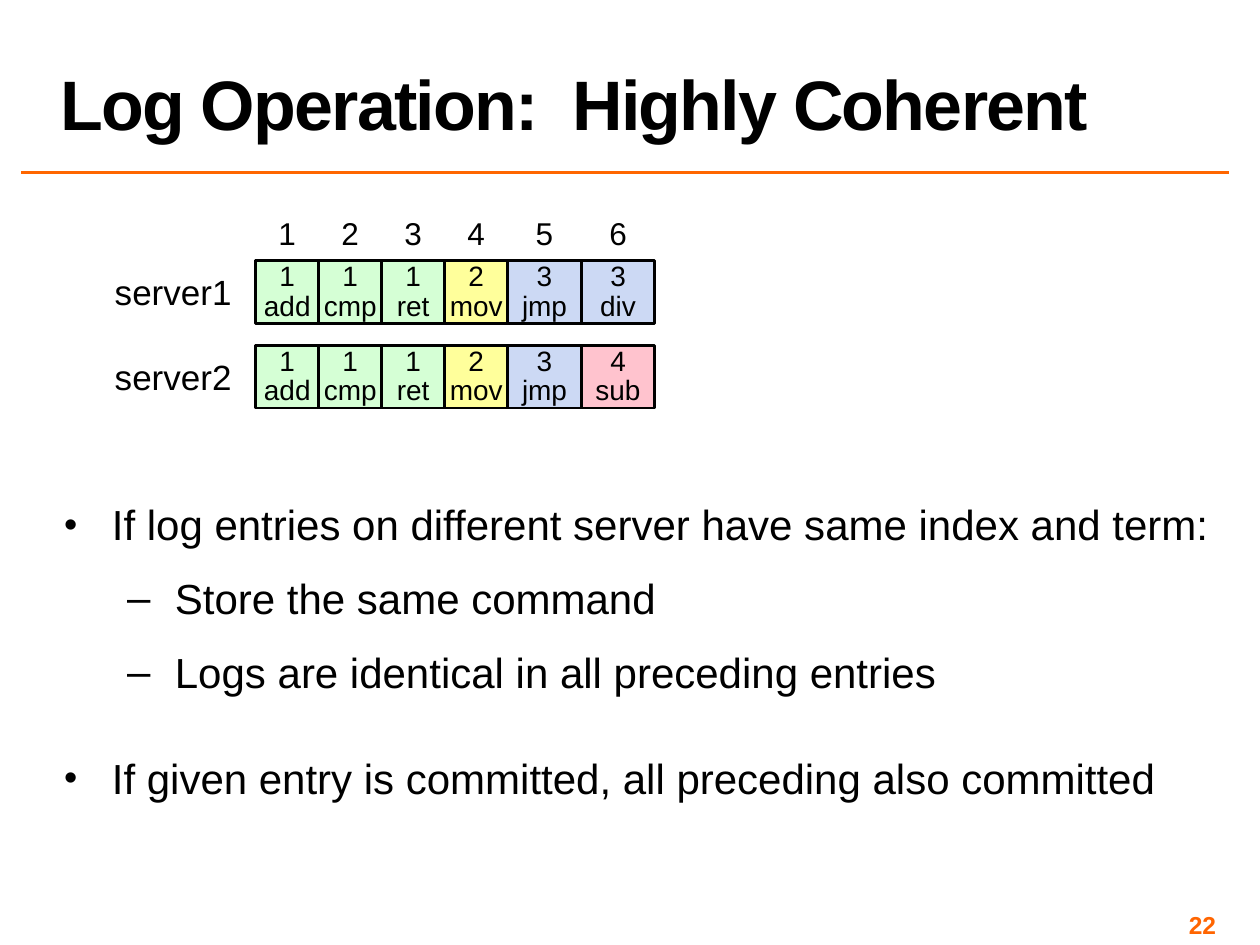
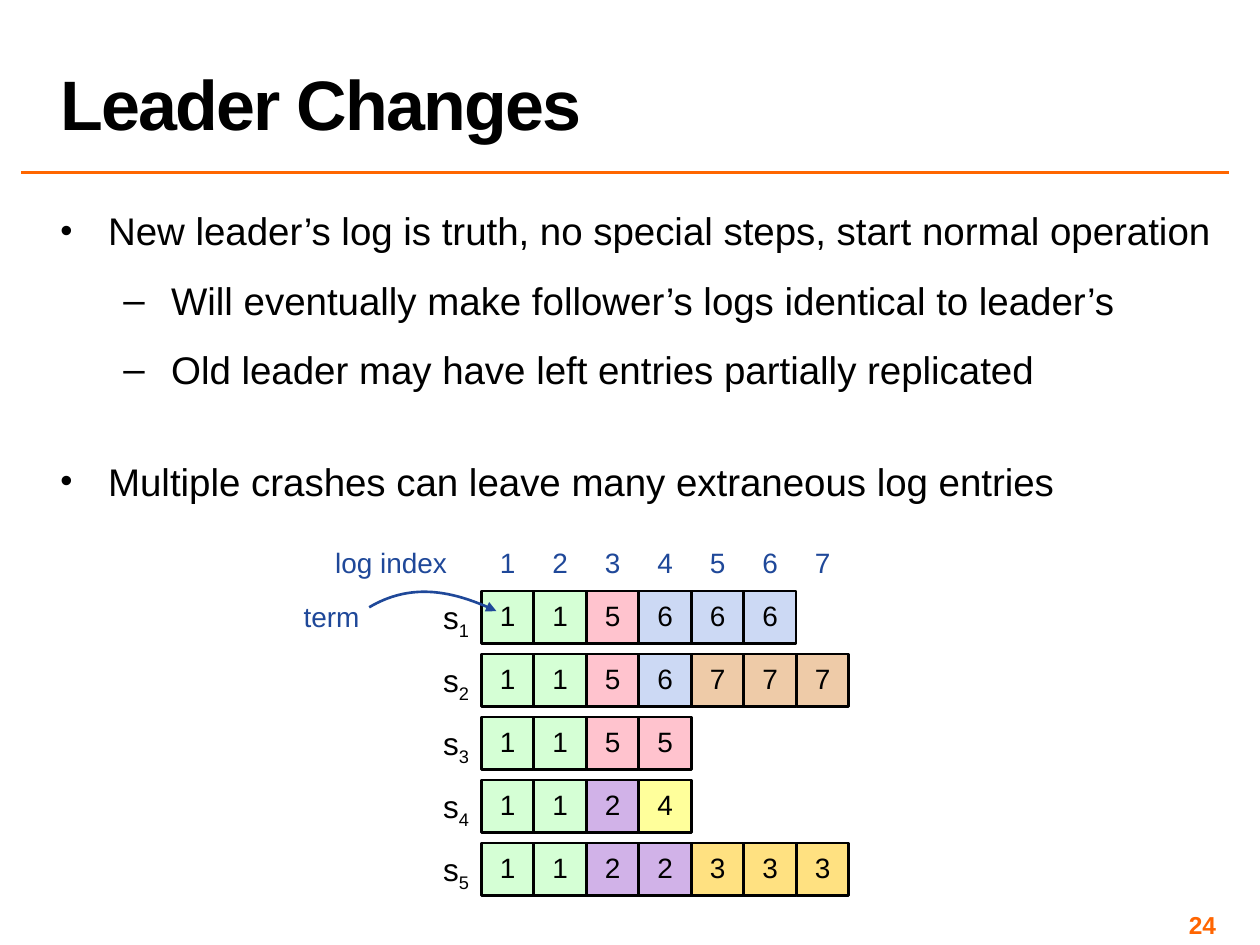
from dataclasses import dataclass

from lxml import etree
from pptx import Presentation
from pptx.dml.color import RGBColor
from pptx.enum.shapes import MSO_CONNECTOR, MSO_SHAPE
from pptx.enum.text import MSO_ANCHOR, PP_ALIGN
from pptx.oxml.ns import qn
from pptx.util import Inches, Pt

LEFT, MID, RIGHT = PP_ALIGN.LEFT, PP_ALIGN.CENTER, PP_ALIGN.RIGHT
TOP, CENTER, BOTTOM = MSO_ANCHOR.TOP, MSO_ANCHOR.MIDDLE, MSO_ANCHOR.BOTTOM
RECT, STRAIGHT = MSO_SHAPE.RECTANGLE, MSO_CONNECTOR.STRAIGHT


@dataclass(frozen=True)
class Theme:
    font: str = "Arial"
    ink: str = "000000"
    rule: str = "FF6600"
    page: str = "FF6501"
    note: str = "1F4899"
    title: int = 40
    name: int = 20
    label: int = 18
    cell: int = 16
    foot: int = 14
    edge: float = 1.5
    lead: int = 17


THEME = Theme()
GREEN, PURPLE, GOLD, YELLOW = "D5FFD5", "D1B2E8", "FFE181", "FFFF9B"
PINK, BLUE, TAN = "FFC3CE", "CCD9F4", "EECBA8"
PAIR_TERMS = {"1": GREEN, "2": YELLOW, "3": BLUE, "4": PINK}
CRASH_TERMS = {"1": GREEN, "2": PURPLE, "3": GOLD, "4": YELLOW,
               "5": PINK, "6": BLUE, "7": TAN}
PAIR_LOGS = {
    "server1": ["1 add", "1 cmp", "1 ret", "2 mov", "3 jmp", "3 div"],
    "server2": ["1 add", "1 cmp", "1 ret", "2 mov", "3 jmp", "4 sub"],
}
CRASH_LOGS = ["115666", "1156777", "1155", "1124", "1122333"]

# Level, text, space before, space after
COHERENT = [
    (0, "If log entries on different server have same index and term:", 12, 6),
    (1, "Store the same command", 6, 6),
    (1, "Logs are identical in all preceding entries", 6, 6),
    (0, "If given entry is committed, all preceding also committed", 24, 0),
]
LEADER = [
    (0, "New leader’s log is truth, no special steps, start normal operation",
     6, 6),
    (1, "Will eventually make follower’s logs identical to leader’s", 6, 6),
    (1, "Old leader may have left entries partially replicated", 6, 6),
    (0, "Multiple crashes can leave many extraneous log entries", 30, 6),
]


def assign(obj, **vals):
    for key, val in vals.items():
        setattr(obj, key, val)


def paint(run, size, color=THEME.ink, bold=False):
    assign(run.font, name=THEME.font, size=Pt(size), bold=bold)
    run.font.color.rgb = RGBColor.from_string(color)


def inset(frame, pad):
    for side in ("left", "right", "top", "bottom"):
        setattr(frame, f"margin_{side}", Inches(pad))


def write(slide, box, text, size, color=THEME.ink, bold=False, align=LEFT,
          anchor=TOP, pad=None, wrap=True):
    """Add a one-paragraph text box and return its paragraph."""
    frame = slide.shapes.add_textbox(*map(Inches, box)).text_frame
    assign(frame, word_wrap=wrap, vertical_anchor=anchor)
    if pad is not None:
        inset(frame, pad)
    para = frame.paragraphs[0]
    para.alignment = align
    run = para.add_run()
    run.text = text
    paint(run, size, color, bold)
    return para


def base(deck, title, page):
    """Start a slide with the shared title, rule and page number."""
    slide = deck.slides.add_slide(deck.slide_layouts[6])
    ends = map(Inches, (0.17, 1.37, 9.75, 1.37))
    rule = slide.shapes.add_connector(STRAIGHT, *ends)
    rule.line.width = Pt(2)
    rule.line.color.rgb = RGBColor.from_string(THEME.rule)
    etree.SubElement(rule.element.spPr, qn("a:effectLst"))
    head = write(slide, (0.38, 0.02, 9.37, 1.17), title, THEME.title,
                 bold=True, anchor=BOTTOM)
    head.line_spacing = 0.8
    head.runs[0].font._element.set("spc", "-100")
    write(slide, (7.42, 7.17, 2.33, 0.23), str(page), THEME.foot, THEME.page,
          bold=True, align=RIGHT)
    return slide


def bullet(para, level):
    props = para._p.get_or_add_pPr()
    props.set("marL", str(Inches(0.38 + 0.5 * level)))
    props.set("indent", str(Inches(-0.38)))
    color = etree.SubElement(props, qn("a:buClr"))
    etree.SubElement(color, qn("a:srgbClr"), val=THEME.ink)
    if level == 0:
        etree.SubElement(props, qn("a:buSzPct"), val="90000")
    etree.SubElement(props, qn("a:buFont"), typeface=THEME.font)
    etree.SubElement(props, qn("a:buChar"), char="•–"[level])


def points(slide, box, items, size):
    frame = slide.shapes.add_textbox(*map(Inches, box)).text_frame
    frame.word_wrap = True
    for num, (level, text, before, after) in enumerate(items):
        para = frame.add_paragraph() if num else frame.paragraphs[0]
        assign(para, level=level, line_spacing=1.05,
               space_before=Pt(before), space_after=Pt(after))
        bullet(para, level)
        run = para.add_run()
        run.text = text
        paint(run, size)


def entry(slide, box, text, fill):
    cell = slide.shapes.add_shape(RECT, *map(Inches, box))
    cell.shadow.inherit = False
    cell.fill.solid()
    cell.fill.fore_color.rgb = RGBColor.from_string(fill)
    cell.line.width = Pt(THEME.edge)
    cell.line.color.rgb = RGBColor.from_string(THEME.ink)
    frame = cell.text_frame
    assign(frame, word_wrap=True, vertical_anchor=CENTER)
    inset(frame, 0)
    para = frame.paragraphs[0]
    para.text = text.replace(" ", "\v")
    assign(para, alignment=MID, line_spacing=Pt(THEME.lead))
    for run in para.runs:
        paint(run, THEME.cell)


def row(slide, left, top, widths, high, log, terms):
    """Draw one log; the first character of an entry is its term."""
    for text, wide in zip(log, widths):
        entry(slide, (left, top, wide, high), text, terms[text[0]])
        left += wide


def index(slide, left, top, widths, high, size, color):
    for num, wide in enumerate(widths, 1):
        write(slide, (left, top, wide, high), str(num), size, color, align=MID)
        left += wide


def pair(slide, left, top):
    """Draw the two server logs, with their names left of the first cell."""
    widths = [0.5] * 4 + [7 / 12] * 2
    index(slide, left, top - 0.42, widths, 0.4, THEME.label, THEME.ink)
    for num, (name, log) in enumerate(PAIR_LOGS.items()):
        y = top + num * 0.67
        row(slide, left, y, widths, 0.5, log, PAIR_TERMS)
        write(slide, (left - 1.12, y + 0.08, 0.93, 0.34), name, THEME.name,
              align=MID, pad=0, wrap=False)


def arrow(slide, left, top):
    """Draw a curved arrow, laid out in hundredths of an inch."""
    pen = slide.shapes.build_freeform(0, 12, scale=Inches(0.01))
    pen.add_line_segments([(50, 0), (101, 15)], close=False)
    curve = pen.convert_to_shape(Inches(left), Inches(top))
    curve.shadow.inherit = False
    curve.fill.background()
    curve.line.width = Pt(THEME.edge)
    curve.line.color.rgb = RGBColor.from_string(THEME.note)
    track = next(curve.element.iter(qn("a:path")))
    for part in track.findall(qn("a:lnTo")):
        track.remove(part)
    bend = etree.SubElement(track, qn("a:cubicBezTo"))
    for x, y in ((32, -7), (68, -1), (101, 15)):
        etree.SubElement(bend, qn("a:pt"), x=str(x), y=str(y))
    line = curve.element.spPr.find(qn("a:ln"))
    etree.SubElement(line, qn("a:tailEnd"), type="triangle")


def crash(slide, left, top):
    """Draw the five logs with their index, names and notes."""
    side = 5 / 12
    widths = [side] * 7
    index(slide, left, top - 0.41, widths, 0.37, THEME.cell, THEME.note)
    for num, log in enumerate(CRASH_LOGS, 1):
        y = top + (num - 1) * 0.5
        row(slide, left, y, widths, side, log, CRASH_TERMS)
        name = write(slide, (left - 0.41, y + 0.06, 0.42, 0.3), "s",
                     THEME.label, align=MID, pad=0)
        sub = name.add_run()
        sub.text = str(num)
        paint(sub, THEME.label)
        sub.font._element.set("baseline", "-25000")
    for text, x, y, wide in (("log index", -1.16, -0.36, 1.25),
                             ("term", -1.41, 0.07, 0.83)):
        write(slide, (left + x, top + y, wide, 0.27), text, THEME.cell,
              THEME.note, pad=0)
    arrow(slide, left - 0.89, top + 0.01)


def main():
    deck = Presentation()
    assign(deck, slide_width=Inches(10), slide_height=Inches(7.5))
    slide = base(deck, "Log Operation:  Highly Coherent", 22)
    points(slide, (0.41, 3.89, 9.59, 3.33), COHERENT, 24)
    pair(slide, 2.03, 2.07)
    slide = base(deck, "Leader Changes", 24)
    points(slide, (0.38, 1.58, 9.59, 5.37), LEADER, 22)
    crash(slide, 3.82, 4.69)
    deck.save("out.pptx")


if __name__ == "__main__":
    main()
